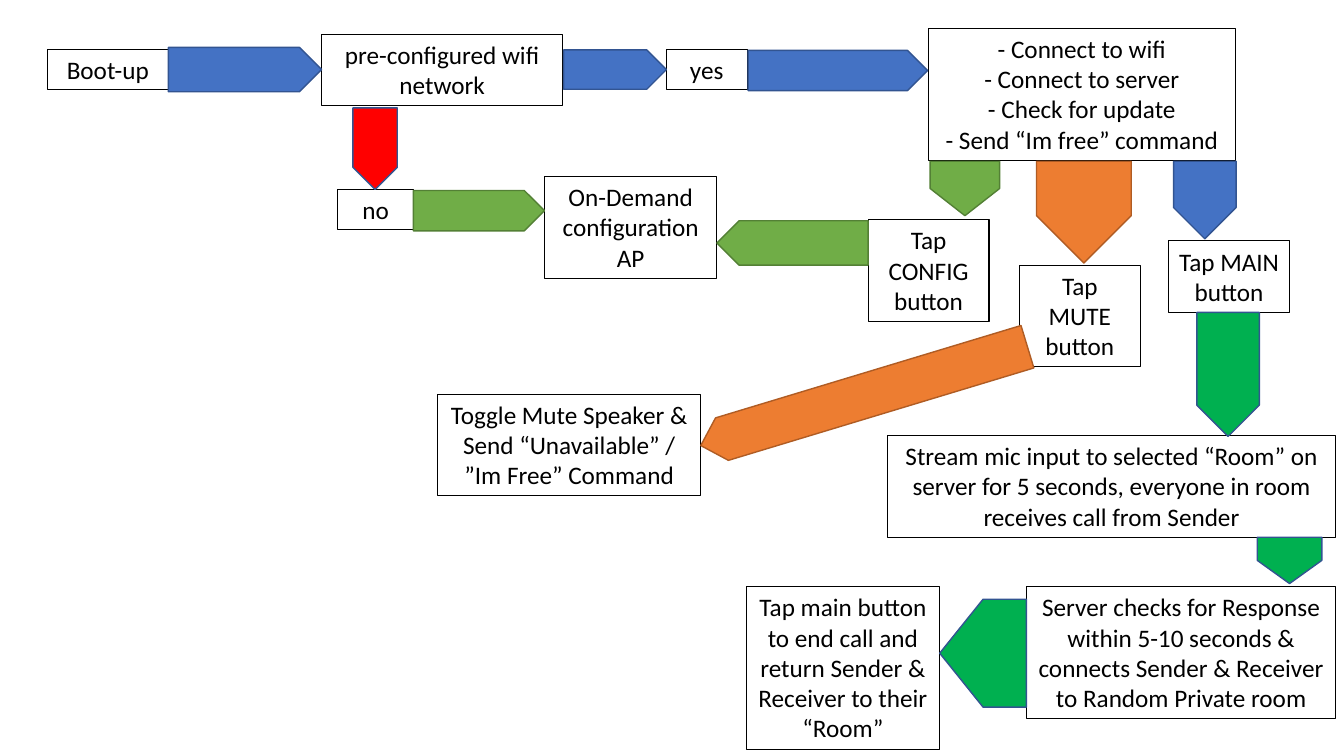
import math
from dataclasses import dataclass

from pptx import Presentation
from pptx.dml.color import RGBColor
from pptx.enum import shapes, text
from pptx.util import Inches, Pt


@dataclass(frozen=True)
class Theme:
    font: str = "Calibri"
    size: float = 18
    ink: str = "000000"
    box_line: float = 0.75
    arrow_line: float = 1
    blue: tuple = ("4472C4", "325491")
    red: tuple = ("FF0000", "325491")
    lime: tuple = ("70AD47", "538035")
    green: tuple = ("00B050", "325491")
    orange: tuple = ("ED7D31", "AF5C24")


THEME = Theme()

STEPS = [
    ("Boot-up", 0.47, 0.49, 1.2, 0.4),
    ("pre-configured wifi network", 3.19, 0.34, 2.39, 0.71),
    ("yes", 6.61, 0.49, 0.8, 0.4),
    ("no", 3.35, 1.88, 0.75, 0.4),
    ("On-Demand configuration AP", 5.4, 1.75, 1.71, 1.01),
    ("- Connect to wifi\n- Connect to server\n- Check for update\n- Send “Im free” command",
     9.21, 0.28, 3.04, 1.31),
    ("Tap MAIN button", 11.59, 2.39, 1.2, 0.71),
    ("Stream mic input to selected “Room” on server for 5 seconds, "
     "everyone in room receives call from Sender", 8.8, 4.32, 4.45, 1.01),
    ("Server checks for Response within 5-10 seconds & "
     "connects Sender & Receiver to Random Private room", 10.18, 5.82, 3.07, 1.31),
    ("Tap main button to end call and return Sender & Receiver to their “Room”",
     7.4, 5.82, 1.92, 1.62),
    ("Tap MUTE button", 10.11, 2.63, 1.2, 1.01),
    ("Tap CONFIG button", 8.61, 2.18, 1.2, 1.01),
    ("Toggle Mute Speaker & Send “Unavailable” / ”Im Free” Command",
     4.34, 3.91, 2.61, 1.01),
]

ARROWS = [
    ((1.67, 0.69), (3.19, 0.69), 0.44, THEME.blue),
    ((3.72, 1.07), (3.72, 1.88), 0.44, THEME.red),
    ((4.1, 2.09), (5.4, 2.09), 0.4, THEME.lime),
    ((5.59, 0.69), (6.61, 0.69), 0.39, THEME.blue),
    ((7.42, 0.7), (9.2, 0.7), 0.4, THEME.blue),
    ((11.95, 1.6), (11.95, 2.37), 0.62, THEME.blue),
    ((12.18, 3.1), (12.18, 4.33), 0.62, THEME.green),
    ((12.79, 5.33), (12.79, 5.79), 0.64, THEME.green),
    ((10.18, 6.48), (9.32, 6.48), 1.07, THEME.green),
    ((10.75, 1.6), (10.75, 2.61), 0.94, THEME.orange),
    ((9.57, 1.6), (9.57, 2.14), 0.69, THEME.lime),
    ((8.61, 2.41), (7.11, 2.41), 0.44, THEME.lime),
    ((10.19, 3.44), (6.95, 4.42), 0.44, THEME.orange),
]


def write(tf, content, font=THEME.font, size=THEME.size, color=THEME.ink,
          align=text.PP_ALIGN.CENTER):
    tf.word_wrap = True
    for i, line in enumerate(content.split("\n")):
        p = tf.add_paragraph() if i else tf.paragraphs[0]
        p.alignment = align
        r = p.add_run()
        r.text = line
        r.font.name = font
        r.font.size = Pt(size)
        r.font.color.rgb = RGBColor.from_string(color)


def outline(sp, color, width):
    sp.line.color.rgb = RGBColor.from_string(color)
    sp.line.width = Pt(width)


def add_step(s, content, *box):
    sp = s.shapes.add_textbox(*map(Inches, box))
    outline(sp, THEME.ink, THEME.box_line)
    write(sp.text_frame, content)
    sp.text_frame.auto_size = text.MSO_AUTO_SIZE.SHAPE_TO_FIT_TEXT


def add_arrow(s, tail, tip, thickness, colors):
    (x1, y1), (x2, y2) = tail, tip
    length = math.dist(tail, tip)
    left = (x1 + x2 - length) / 2
    top = (y1 + y2 - thickness) / 2
    sp = s.shapes.add_shape(shapes.MSO_SHAPE.PENTAGON,
                            *map(Inches, (left, top, length, thickness)))
    sp.rotation = math.degrees(math.atan2(y2 - y1, x2 - x1))
    sp.shadow.inherit = False
    fill, line = colors
    sp.fill.solid()
    sp.fill.fore_color.rgb = RGBColor.from_string(fill)
    outline(sp, line, THEME.arrow_line)


def main():
    prs = Presentation()
    prs.slide_width, prs.slide_height = Inches(13.33), Inches(7.5)
    s = prs.slides.add_slide(prs.slide_layouts[6])
    for step in STEPS:
        add_step(s, *step)
    for arrow in ARROWS:
        add_arrow(s, *arrow)
    prs.save("out.pptx")


if __name__ == "__main__":
    main()
